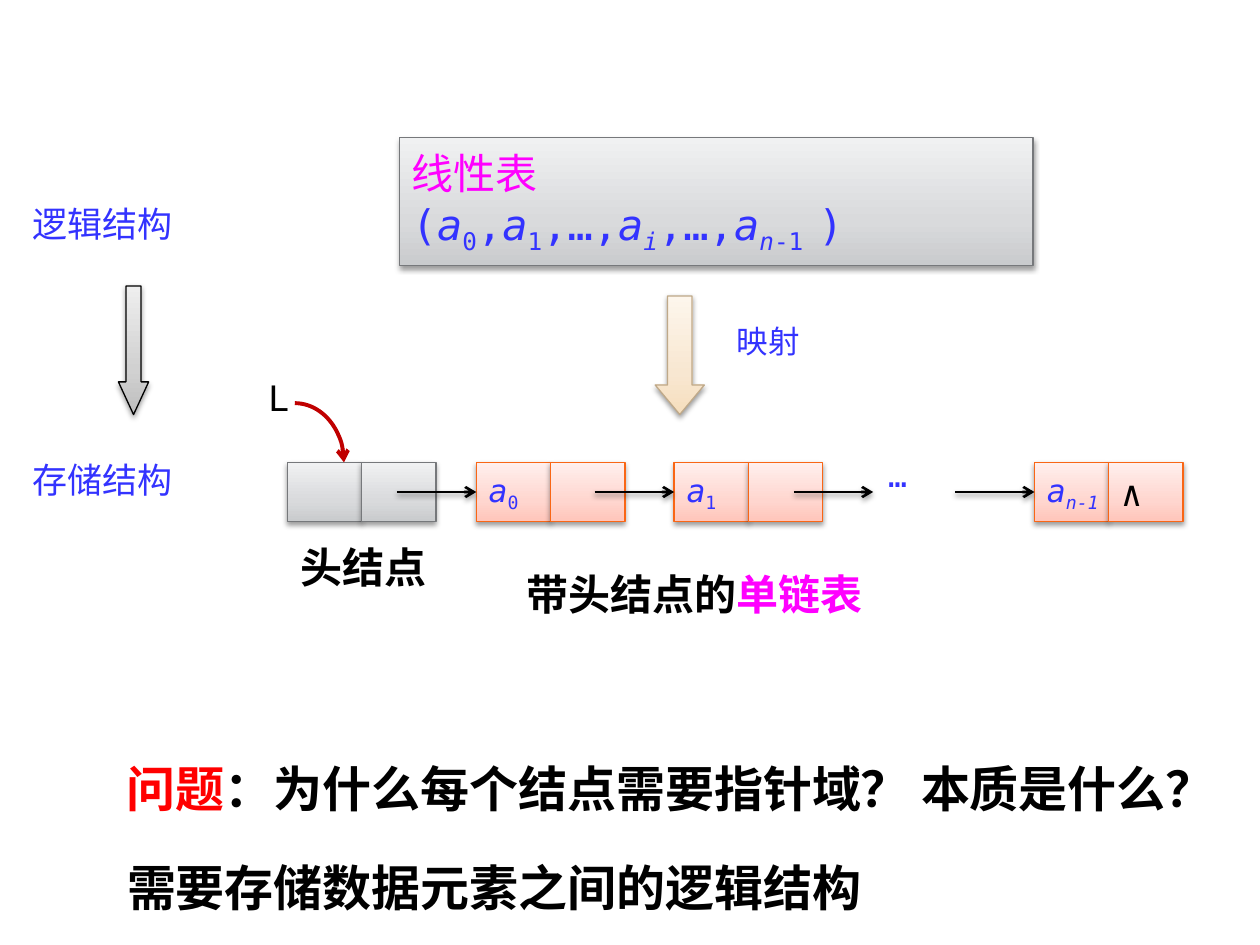
from pptx import Presentation
from pptx.dml.color import RGBColor
from pptx.enum.shapes import MSO_CONNECTOR as Connector, MSO_SHAPE as Shape
from pptx.enum.text import MSO_ANCHOR as Anchor, MSO_AUTO_SIZE as AutoSize
from pptx.oxml import parse_xml
from pptx.oxml.ns import nsdecls, qn
from pptx.util import Inches, Pt

THEME = {
    "mono": "DejaVu Sans Mono", "sans": "Noto Sans CJK SC", "serif": "Times New Roman",
    "blue": "3333FF", "magenta": "FF00FF", "red": "FF0000", "black": "000000", "arc": "C00000",
    "question": 28, "heading": 24, "label": 20, "element": 18,
    "gray": (("C9CBCD", "D9DADC", "F0F1F2"), "76787B"),
    "rose": (("FFC5BA", "FFD6CF", "FFEFED"), "F96615"),
    "sand": (("F6DEBD", "F8E7D1", "FDF6EC"), "BFA989"),
    "silver": (("BDBDBD", "D1D1D1", "EEEEEE"), "000000"),
}
SHADOW = ('<a:outerShdw %s blurRad="39370" dist="20320" dir="5400000" rotWithShape="0">'
          '<a:srgbClr val="000000"><a:alpha val="38000"/></a:srgbClr></a:outerShdw>')

ITALIC, SUB = {"italic": True}, {"sub": True}
ITALIC_SUB = {**ITALIC, **SUB}
BLUE, MAGENTA = {"color": "blue"}, {"color": "magenta"}

# Each run is (text, changes to the style of its box).
LINEAR_LIST = [
    [("线性表", MAGENTA)],
    [("(", {}), ("a", ITALIC), ("0", SUB), (",", {}), ("a", ITALIC), ("1", SUB),
     (",…,", {}), ("a", ITALIC), ("i", ITALIC_SUB), (",…,", {}), ("a", ITALIC),
     ("n", ITALIC_SUB), ("-1 ", SUB), (")", {})],
]
QUESTIONS = [
    ((0.91, 5.88, 8.74, 0.79), [("问题", {"color": "red"}),
                                ("：为什么每个结点需要指针域？ 本质是什么？", {})]),
    ((0.91, 6.66, 8.22, 0.79), [("需要存储数据元素之间的逻辑结构", {})]),
]
LABELS = [  # box, text, size
    ((5.75, 2.51, 1.09, 0.4), "映射", "element"),
    ((0.16, 1.56, 1.89, 0.44), "逻辑结构", "label"),
    ((0.16, 3.59, 1.89, 0.44), "存储结构", "label"),
]
BLOCK_ARROWS = [  # box, head length over width, palette
    ((5.2, 2.35, 0.39, 0.94), 0.6, "sand"),
    ((0.94, 2.27, 0.24, 1.02), 1.08, "silver"),
]
NODES = [  # left, palette, data runs, pointer runs
    (2.28, "gray", [], []),
    (3.78, "rose", [("a", ITALIC), ("0", SUB)], []),
    (5.35, "rose", [("a", ITALIC), ("1", SUB)], []),
    (8.21, "rose", [("a", ITALIC), ("n-1", ITALIC_SUB)],
     [("∧", {"color": "black", "size": "label"})]),
]
CELL_WIDTH, CELL_HEIGHT, NODE_TOP = 0.59, 0.47, 3.67
LINK_LENGTH, ELLIPSIS_LEFT = 0.63, 6.93


def write(shape, paragraphs, wrap=True, **base):
    """Fill a shape with paragraphs of runs; base is the style the runs start from."""
    frame = shape.text_frame
    frame.word_wrap = wrap
    for index, runs in enumerate(paragraphs):
        paragraph = frame.add_paragraph() if index else frame.paragraphs[0]
        paragraph.alignment = 1
        for text, changes in runs:
            style = {"font": "mono", "color": "black", **base, **changes}
            run = paragraph.add_run()
            run.text = text
            values = {"name": THEME[style["font"]], "size": Pt(THEME[style["size"]]),
                      "bold": style.get("bold", False), "italic": style.get("italic", False)}
            for name, value in values.items():
                setattr(run.font, name, value)
            run.font.color.rgb = RGBColor.from_string(THEME[style["color"]])
            properties = run._r.get_or_add_rPr()
            if style.get("sub"):
                properties.set("baseline", "-25000")
            properties.find(qn("a:latin")).addnext(
                parse_xml(f'<a:ea {nsdecls("a")} typeface="{THEME["sans"]}"/>'))


def add_text(shapes, box, runs, grow=True, wrap=True, **base):
    shape = shapes.add_textbox(*map(Inches, box))
    write(shape, [runs], wrap, **base)
    shape.text_frame.auto_size = AutoSize.SHAPE_TO_FIT_TEXT if grow else AutoSize.NONE
    return shape


def add_shadow(shape):
    properties = shape._element.spPr
    effects = properties.find(qn("a:effectLst"))
    if effects is None:
        effects = parse_xml(f'<a:effectLst {nsdecls("a")}/>')
        properties.append(effects)
    effects.append(parse_xml(SHADOW % nsdecls("a")))


def add_shaded(shapes, kind, box, palette):
    """Add a shape with a bottom-to-top gradient, a thin outline and a soft shadow."""
    colors, outline = THEME[palette]
    shape = shapes.add_shape(kind, *map(Inches, box))
    stops = "".join(f'<a:gs pos="{position}"><a:srgbClr val="{color}"/></a:gs>'
                    for position, color in zip((0, 35000, 100000), colors))
    shape._element.spPr.append(parse_xml(
        f'<a:gradFill {nsdecls("a")} rotWithShape="1"><a:gsLst>{stops}</a:gsLst>'
        '<a:lin ang="16200000" scaled="0"/></a:gradFill>'))
    shape.line.color.rgb = RGBColor.from_string(outline)
    shape.line.width = Pt(0.75)
    shape.shadow.inherit = False
    add_shadow(shape)
    shape.text_frame.vertical_anchor = Anchor.MIDDLE
    return shape


def set_arrow_line(shape, color, width):
    shape.line.color.rgb = RGBColor.from_string(THEME[color])
    shape.line.width = Pt(width)
    shape.line._get_or_add_ln().append(parse_xml(f'<a:tailEnd {nsdecls("a")} type="arrow"/>'))


def add_link(shapes, end, target=None):
    middle = Inches(NODE_TOP + CELL_HEIGHT / 2)
    link = shapes.add_connector(Connector.STRAIGHT, Inches(end - LINK_LENGTH), middle,
                                Inches(end), middle)
    if target is not None:
        link.end_connect(target, 1)
    set_arrow_line(link, "black", 1.5)
    add_shadow(link)


def add_linked_list(shapes):
    data_cells = []
    for left, palette, *contents in NODES:
        for column, runs in enumerate(contents):
            box = (left + column * CELL_WIDTH, NODE_TOP, CELL_WIDTH, CELL_HEIGHT)
            cell = add_shaded(shapes, Shape.RECTANGLE, box, palette)
            if runs:
                write(cell, [runs], wrap=False, size="element", **BLUE)
            if column == 0:
                data_cells.append(cell)
    add_text(shapes, (6.95, 3.57, 0.63, 0.5), [("…", {})], size="element", **BLUE)
    add_text(shapes, (2.03, 2.94, 0.47, 0.44), [("L", {})], size="label")
    for (left, *_), cell in zip(NODES[1:], data_cells[1:]):
        add_link(shapes, left, cell)
    add_link(shapes, ELLIPSIS_LEFT)
    arc = shapes.add_shape(Shape.ARC, *map(Inches, (1.95, 3.2, 0.78, 0.94)))
    arc.fill.background()
    set_arrow_line(arc, "arc", 2.25)
    arc.shadow.inherit = False


def main():
    presentation = Presentation()
    presentation.slide_width, presentation.slide_height = Inches(10), Inches(7.5)
    slide = presentation.slides.add_slide(presentation.slide_layouts[6])
    shapes = slide.shapes

    for box, runs in QUESTIONS:
        question = add_text(shapes, box, runs, grow=False, font="serif",
                            size="question", bold=True)
        question.text_frame.paragraphs[0].line_spacing = 1.2
    linear_list = add_shaded(shapes, Shape.RECTANGLE, (3.17, 1.09, 5.03, 1.02), "gray")
    write(linear_list, LINEAR_LIST, wrap=False, size="heading", **BLUE)
    for box, head, palette in BLOCK_ARROWS:
        arrow = add_shaded(shapes, Shape.DOWN_ARROW, box, palette)
        arrow.adjustments[1] = head
    for box, text, size in LABELS:
        add_text(shapes, box, [(text, {})], font="sans", size=size, **BLUE)
    add_text(shapes, (4.08, 4.46, 3.18, 0.5), [("带头结点的", {}), ("单链表", MAGENTA)],
             size="heading", bold=True)
    add_linked_list(shapes.add_group_shape().shapes)
    add_text(shapes, (2.29, 4.25, 1.21, 0.5), [("头结点", {})], wrap=False,
             size="heading", bold=True)
    presentation.save("out.pptx")


if __name__ == "__main__":
    main()
